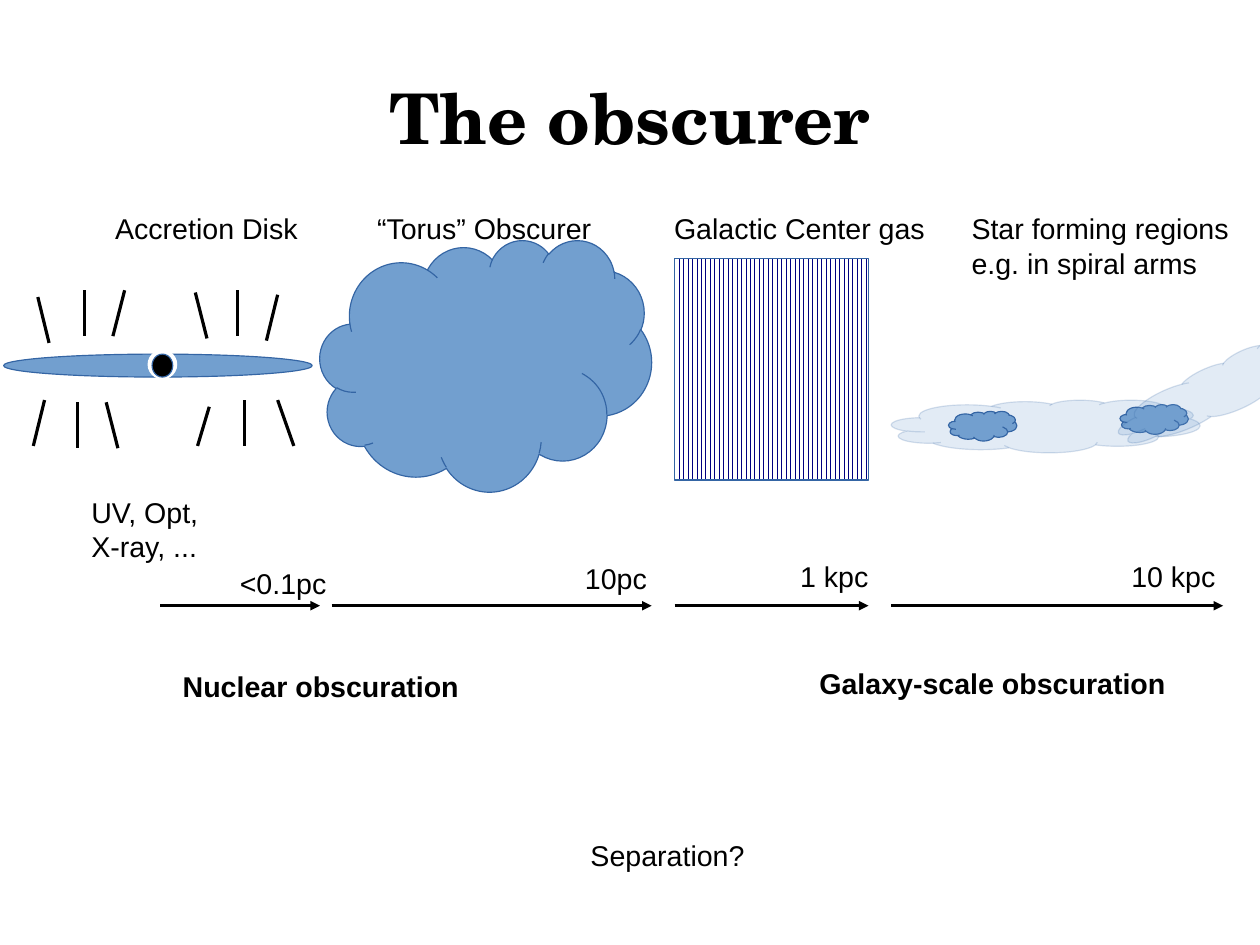
from dataclasses import dataclass

from lxml.etree import SubElement
from pptx import Presentation
from pptx.dml.color import RGBColor
from pptx.enum.dml import MSO_PATTERN
from pptx.enum.shapes import MSO_CONNECTOR, MSO_SHAPE
from pptx.enum.text import MSO_ANCHOR, MSO_AUTO_SIZE, PP_ALIGN
from pptx.oxml.ns import qn
from pptx.shapes.autoshape import Shape
from pptx.util import Cm, Pt

BLACK = RGBColor(0x00, 0x00, 0x00)
WHITE = RGBColor(0xFF, 0xFF, 0xFF)
BLUE = RGBColor(0x72, 0x9F, 0xCF)
OUTLINE = RGBColor(0x34, 0x65, 0xA4)
NAVY = RGBColor(0x00, 0x00, 0x80)


@dataclass
class Body:
    kind: MSO_SHAPE
    x: float
    y: float
    w: float
    h: float
    fill: RGBColor = BLUE
    outlined: bool = True
    opacity: int = 100
    rotation: float = 0


@dataclass
class Label:
    text: str
    x: float
    y: float
    w: float
    h: float = 1.68
    size: int = 18
    font: str = "Arial"
    bold: bool = False
    align: PP_ALIGN = PP_ALIGN.LEFT


@dataclass
class Line:
    x1: float
    y1: float
    x2: float
    y2: float
    arrow: bool = False


DISK = [
    Body(MSO_SHAPE.OVAL, 0.08, 7.87, 6.86, 0.51),
    Body(MSO_SHAPE.OVAL, 3.28, 7.77, 0.66, 0.66, WHITE, outlined=False),
    Body(MSO_SHAPE.OVAL, 3.38, 7.87, 0.46, 0.51, BLACK),
]
RAYS = [
    Line(0.84, 6.6, 1.09, 7.62),
    Line(1.88, 6.45, 1.88, 7.47),
    Line(2.77, 6.45, 2.51, 7.47),
    Line(4.34, 6.5, 4.6, 7.52),
    Line(5.28, 6.45, 5.28, 7.47),
    Line(6.17, 6.55, 5.92, 7.57),
    Line(2.36, 8.94, 2.62, 9.96),
    Line(1.73, 8.94, 1.73, 9.96),
    Line(0.99, 8.89, 0.74, 9.91),
    Line(4.65, 9.04, 4.39, 9.91),
    Line(5.44, 8.89, 5.44, 9.91),
    Line(6.17, 8.89, 6.53, 9.91),
]
CLOUDS = [
    Body(MSO_SHAPE.CLOUD, 7.11, 5.33, 7.37, 5.59),
    Body(MSO_SHAPE.CLOUD, 19.81, 8.89, 6.86, 1.17, opacity=20),
    Body(MSO_SHAPE.CLOUD, 21.08, 9.14, 1.52, 0.66),
    Body(MSO_SHAPE.CLOUD, 24.89, 8.99, 1.52, 0.66),
    Body(MSO_SHAPE.CLOUD, 24.64, 7.98, 5.31, 1.17, opacity=20, rotation=335.9),
]
CENTER_GAS = Body(MSO_SHAPE.RECTANGLE, 14.99, 5.74, 4.32, 4.93)
SCALE_Y = 13.46
SCALES = [(3.56, 7.11), (7.37, 14.48), (14.99, 19.3), (19.81, 27.18)]
TITLE = Label("The obscurer", 1.4, 0.84, 25.2, 3.5, 44, "TeX Gyre Schola", True, PP_ALIGN.CENTER)
LABELS = [
    Label("Accretion Disk", 2.31, 4.57, 5.59),
    Label("“Torus” Obscurer", 8.13, 4.57, 5.59),
    Label("Galactic Center gas", 14.73, 4.57, 6.35),
    Label("Star forming regions\ne.g. in spiral arms", 21.34, 4.57, 6.35),
    Label("UV, Opt, X-ray, ...", 1.78, 10.87, 3.05),
    Label("<0.1pc", 5.08, 12.45, 2.54),
    Label("10pc", 12.75, 12.34, 2.03),
    Label("1 kpc", 17.53, 12.29, 2.79),
    Label("10 kpc", 24.89, 12.29, 2.79),
    Label("Nuclear obscuration", 3.81, 14.73, 9.65, 0.97, bold=True),
    Label("Galaxy-scale obscuration", 17.96, 14.68, 9.65, 0.97, bold=True),
    Label("Separation?", 7.47, 18.49, 14.73, 0.97, align=PP_ALIGN.CENTER),
]


def add_body(shapes, body: Body) -> Shape:
    sp = shapes.add_shape(body.kind, Cm(body.x), Cm(body.y), Cm(body.w), Cm(body.h))
    sp.shadow.inherit = False
    sp.rotation = body.rotation
    sp.fill.solid()
    sp.fill.fore_color.rgb = body.fill
    if body.outlined:
        sp.line.color.rgb = OUTLINE
        sp.line.width = Pt(0)
    else:
        sp.line.fill.background()
    if body.opacity < 100:
        for color in sp._element.spPr.iter(qn("a:srgbClr")):
            SubElement(color, qn("a:alpha"), val=str(body.opacity * 1000))
    return sp


def add_line(shapes, line: Line) -> None:
    cxn = shapes.add_connector(
        MSO_CONNECTOR.STRAIGHT, Cm(line.x1), Cm(line.y1), Cm(line.x2), Cm(line.y2)
    )
    cxn.line.color.rgb = BLACK
    cxn.line.width = Pt(0)
    if line.arrow:
        SubElement(cxn.line._get_or_add_ln(), qn("a:tailEnd"), type="triangle")
    SubElement(cxn._element.spPr, qn("a:effectLst"))


def add_label(shapes, label: Label) -> Shape:
    sp = shapes.add_textbox(Cm(label.x), Cm(label.y), Cm(label.w), Cm(label.h))
    tf = sp.text_frame
    tf.word_wrap = True
    tf.text = label.text
    for p in tf.paragraphs:
        p.alignment = label.align
        p.font.name = label.font
        p.font.size = Pt(label.size)
        p.font.bold = label.bold
        p.font.color.rgb = BLACK
    return sp


def main() -> None:
    prs = Presentation()
    prs.slide_width, prs.slide_height = Cm(28), Cm(21)
    s = prs.slides.add_slide(prs.slide_layouts[6])

    title = add_label(s.shapes, TITLE).text_frame
    title.vertical_anchor = MSO_ANCHOR.MIDDLE
    title.margin_left = title.margin_right = title.margin_top = title.margin_bottom = 0

    disk = s.shapes.add_group_shape()
    for body in DISK:
        add_body(disk.shapes, body)
    for ray in RAYS:
        add_line(disk.shapes, ray)

    for cloud in CLOUDS:
        add_body(s.shapes, cloud)
    gas = add_body(s.shapes, CENTER_GAS)
    gas.fill.patterned()
    gas.fill.pattern = MSO_PATTERN.VERTICAL
    gas.fill.fore_color.rgb = NAVY
    gas.fill.back_color.rgb = WHITE

    for start, end in SCALES:
        add_line(s.shapes, Line(start, SCALE_Y, end, SCALE_Y, arrow=True))
    for label in LABELS:
        add_label(s.shapes, label).text_frame.auto_size = MSO_AUTO_SIZE.SHAPE_TO_FIT_TEXT

    prs.save("out.pptx")


if __name__ == "__main__":
    main()
